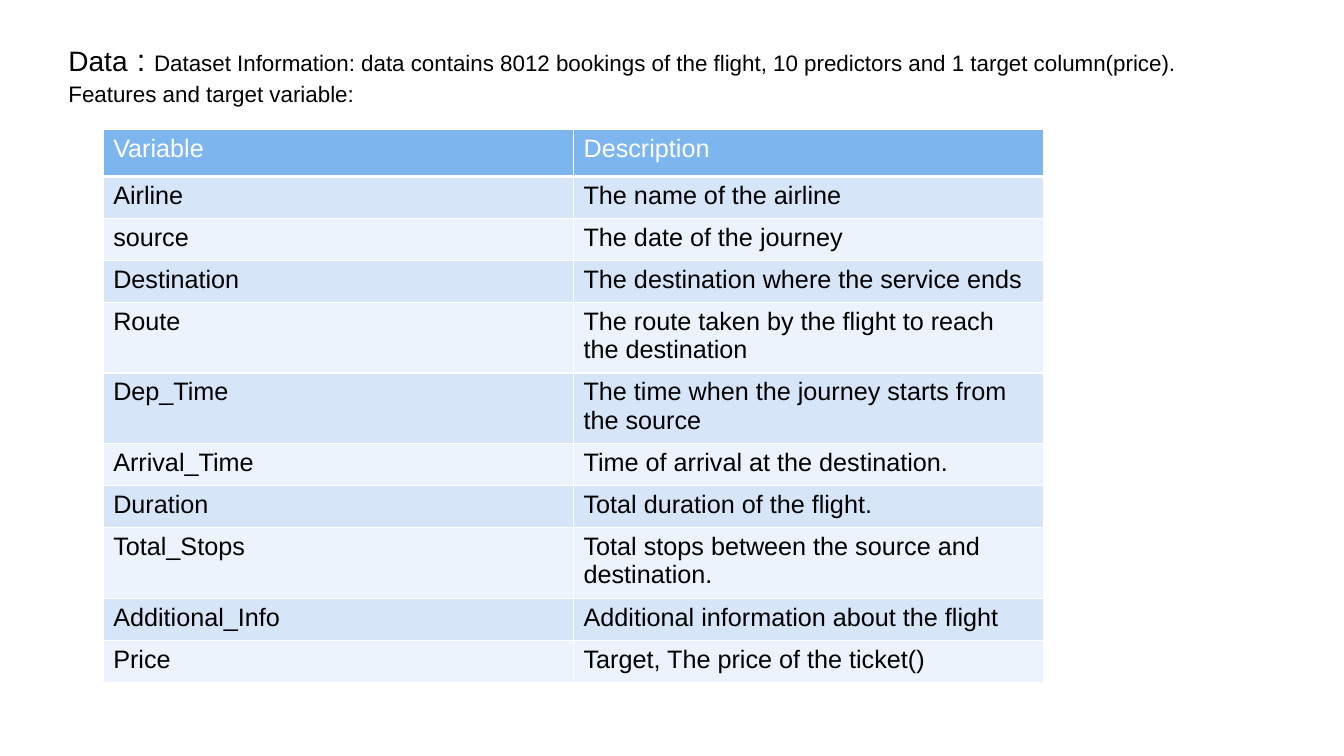
from dataclasses import dataclass

from lxml import etree
from pptx import Presentation
from pptx import util as u
from pptx.dml import color
from pptx.oxml import ns

COLORS = {
    "header": "7DB6EF",
    "odd_row": "D7E5F9",
    "even_row": "ECF3FC",
    "white": "FFFFFF",
    "black": "000000",
}
FONT = "Arial"


@dataclass(frozen=True)
class Words:
    content: str
    size: float
    color: str = "black"


@dataclass(frozen=True)
class Variable:
    name: str
    description: str


HEADING = [
    Words("Data", 20),
    Words(" ", 24),
    Words(": ", 22),
    Words(
        "Dataset Information: data contains 8012 bookings of the flight, "
        "10 predictors and 1 target column(price). Features and target variable:",
        16,
    ),
]

VARIABLES = [
    Variable("Variable", "Description"),
    Variable("Airline", "The name of the airline"),
    Variable("source", "The date of the journey"),
    Variable("Destination", "The destination where the service ends"),
    Variable("Route", "The route taken by the flight to reach the destination"),
    Variable("Dep_Time", "The time when the journey starts from the source"),
    Variable("Arrival_Time", "Time of arrival at the destination."),
    Variable("Duration", "Total duration of the flight."),
    Variable("Total_Stops", "Total stops between the source and destination."),
    Variable("Additional_Info", "Additional information about the flight"),
    Variable("Price", "Target, The price of the ticket()"),
]


def add_words(paragraph, words: Words) -> None:
    run = paragraph.add_run()
    run.text = words.content
    run.font.name = FONT
    run.font.size = u.Pt(words.size)
    run.font.color.rgb = color.RGBColor.from_string(COLORS[words.color])


def set_borders(cell, widths: dict[str, float]) -> None:
    properties = cell._tc.get_or_add_tcPr()
    for position, (side, width) in enumerate(widths.items()):
        line = etree.Element(ns.qn(f"a:ln{side}"), w=str(int(u.Pt(width))))
        fill = etree.SubElement(line, ns.qn("a:solidFill"))
        etree.SubElement(fill, ns.qn("a:srgbClr"), val=COLORS["white"])
        properties.insert(position, line)


def add_heading(slide) -> None:
    box = slide.shapes.add_textbox(u.Pt(41.8), u.Pt(22.3), u.Pt(854.6), u.Pt(495.4))
    frame = box.text_frame
    frame.word_wrap = True
    paragraph = frame.paragraphs[0]
    paragraph.space_before = u.Pt(2.5)
    paragraph.line_spacing = 1.05
    for words in HEADING:
        add_words(paragraph, words)


def add_variable_table(slide) -> None:
    header_height, row_height, column_width = 33.6, 30, 336
    height = header_height + row_height * (len(VARIABLES) - 1)
    table = slide.shapes.add_table(
        len(VARIABLES), 2, u.Pt(73.7), u.Pt(92.4), u.Pt(2 * column_width), u.Pt(height)
    ).table
    for column in table.columns:
        column.width = u.Pt(column_width)
    for index, variable in enumerate(VARIABLES):
        is_header = index == 0
        table.rows[index].height = u.Pt(header_height if is_header else row_height)
        fill = "header" if is_header else "odd_row" if index % 2 else "even_row"
        borders = {
            "L": 1,
            "R": 1,
            "T": 3 if index == 1 else 1,
            "B": 3 if is_header else 1,
        }
        for cell, content in zip(
            table.rows[index].cells, (variable.name, variable.description)
        ):
            cell.fill.solid()
            cell.fill.fore_color.rgb = color.RGBColor.from_string(COLORS[fill])
            set_borders(cell, borders)
            paragraph = cell.text_frame.paragraphs[0]
            add_words(paragraph, Words(content, 18, "white" if is_header else "black"))
            paragraph.runs[0].font.bold = False


presentation = Presentation()
presentation.slide_width = u.Pt(960)
presentation.slide_height = u.Pt(540)
slide = presentation.slides.add_slide(presentation.slide_layouts[6])
add_heading(slide)
add_variable_table(slide)
presentation.save("out.pptx")
